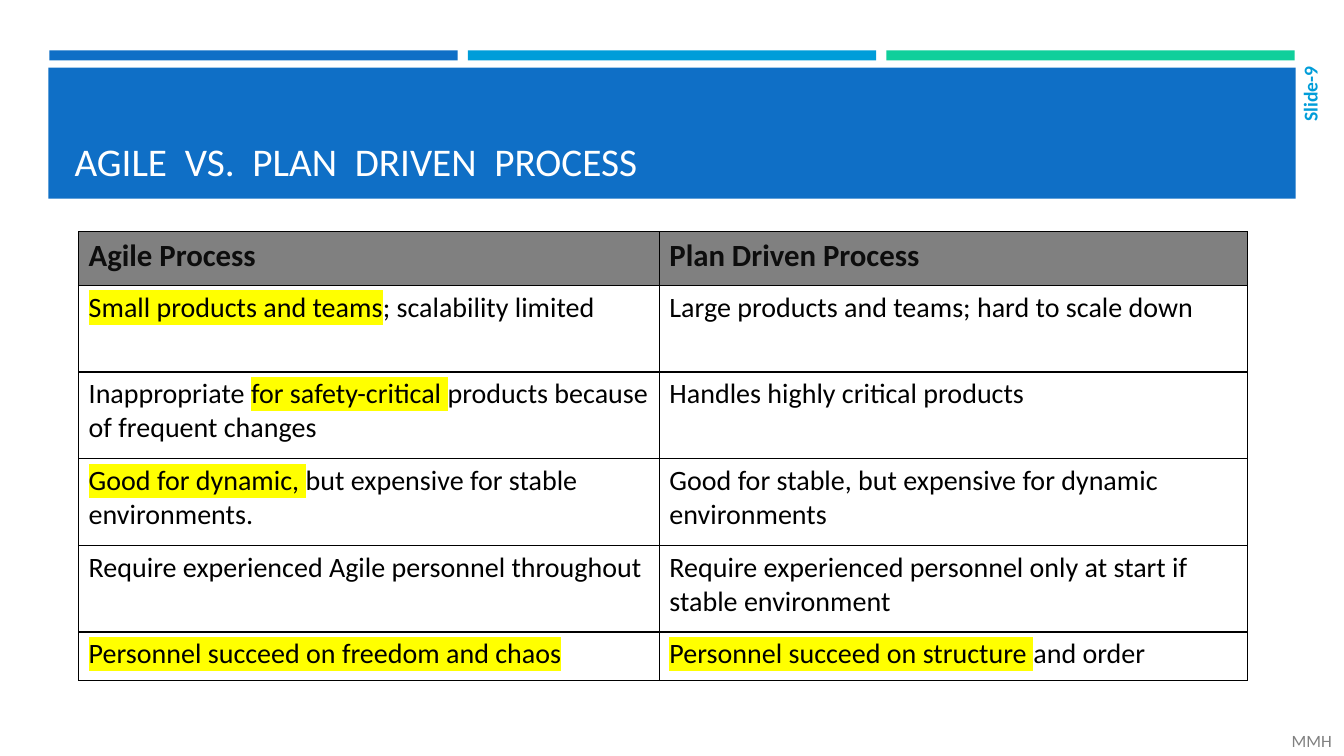
import pptx
import pptx.dml.color
import pptx.enum.shapes
import pptx.enum.text
import pptx.oxml
import pptx.oxml.ns
import pptx.util
from dataclasses import dataclass

PX = 9144  # EMU per px, 100 px to the inch
ANCHOR = pptx.enum.text.MSO_ANCHOR
ALIGN = pptx.enum.text.PP_ALIGN
NS = pptx.oxml.ns.nsdecls("a")


@dataclass(frozen=True)
class Theme:
    font: str = "Calibri"
    blue: str = "0F6FC6"
    cyan: str = "009DD9"
    green: str = "10CF9B"
    white: str = "FFFFFF"
    black: str = "000000"
    heading: str = "0D0D0D"
    gray: str = "808080"
    marker: str = "FFFF00"
    title_size: float = 28
    heading_size: float = 22
    body_size: float = 20
    number_size: float = 14
    footer_size: float = 12.3


THEME = Theme()

# Text between asterisks is highlighted
ROWS = [
    ("Agile Process", "Plan Driven Process"),
    ("*Small products and teams*; scalability limited",
     "Large products and teams; hard to scale down"),
    ("Inappropriate *for safety-critical *products because of frequent changes",
     "Handles highly critical products"),
    ("*Good for dynamic, *but expensive for stable environments.",
     "Good for stable, but expensive for dynamic environments"),
    ("Require experienced Agile personnel throughout",
     "Require experienced personnel only at start if stable environment"),
    ("*Personnel succeed on freedom and chaos*",
     "*Personnel succeed on structure *and order"),
]
COL_WIDTHS = (576, 583)
ROW_HEIGHTS = (53, 86, 86, 86, 86, 48)


def px(*lengths):
    return [pptx.util.Emu(n * PX) for n in lengths]


def rgb(color):
    return pptx.dml.color.RGBColor.from_string(color)


def write(tf, text, size, color, bold=False, align=ALIGN.LEFT, anchor=None):
    tf.word_wrap = True
    if anchor is not None:
        tf.vertical_anchor = anchor
    p = tf.paragraphs[0]
    p.alignment = align
    for i, piece in enumerate(text.split("*")):
        if not piece:
            continue
        r = p.add_run()
        r.text = piece
        r.font.size = pptx.util.Pt(size)
        r.font.bold = bold
        r.font.name = THEME.font
        r.font.color.rgb = rgb(color)
        if i % 2:
            fill = r._r.get_or_add_rPr().find(pptx.oxml.ns.qn("a:solidFill"))
            fill.addnext(pptx.oxml.parse_xml(
                f'<a:highlight {NS}><a:srgbClr val="{THEME.marker}"/></a:highlight>'))


def add_bar(s, box, color):
    sp = s.shapes.add_shape(pptx.enum.shapes.MSO_SHAPE.RECTANGLE, *px(*box))
    sp.shadow.inherit = False
    sp.fill.solid()
    sp.fill.fore_color.rgb = rgb(color)
    sp.line.fill.background()


def add_header(s, box, text):
    left, top, width, height = box
    # Three colour strips above the title band
    strip, gap = 405, 10
    for i, color in enumerate((THEME.blue, THEME.cyan, THEME.green)):
        add_bar(s, (left + 1 + i * (strip + gap), top, strip, 10), color)
    add_bar(s, (left, top + 17, width, height - 17), THEME.blue)
    # Title, brought in front of the band
    sp = s.shapes.title
    s.shapes._spTree.append(sp._element)
    sp.left, sp.top, sp.width, sp.height = px(left + 16, top + 27, width - 31, height - 36)
    sp.text_frame.auto_size = pptx.enum.text.MSO_AUTO_SIZE.NONE
    write(sp.text_frame, text, THEME.title_size, THEME.white, anchor=ANCHOR.BOTTOM)


def set_borders(cell):
    tcPr = cell._tc.get_or_add_tcPr()
    for i, side in enumerate(("lnL", "lnR", "lnT", "lnB")):
        tcPr.insert(i, pptx.oxml.parse_xml(
            f'<a:{side} {NS} w="12700"><a:solidFill><a:srgbClr val="{THEME.black}"/>'
            f'</a:solidFill></a:{side}>'))


def add_comparison(s, left, top):
    box = px(left, top, sum(COL_WIDTHS), sum(ROW_HEIGHTS))
    table = s.shapes.add_table(len(ROWS), len(COL_WIDTHS), *box).table
    table.first_row = table.horz_banding = False
    for col, width in zip(table.columns, px(*COL_WIDTHS)):
        col.width = width
    for row, height in zip(table.rows, px(*ROW_HEIGHTS)):
        row.height = height
    for i, texts in enumerate(ROWS):
        for j, text in enumerate(texts):
            cell = table.cell(i, j)
            if i == 0:
                cell.fill.solid()
                cell.fill.fore_color.rgb = rgb(THEME.gray)
                write(cell.text_frame, text, THEME.heading_size, THEME.heading, bold=True)
            else:
                cell.fill.background()
                write(cell.text_frame, text, THEME.body_size, THEME.black)
            set_borders(cell)


def add_label(s, box, text, size, color, bold=False, vertical=False):
    tf = s.shapes.add_textbox(*px(*box)).text_frame
    tf.margin_left, tf.margin_top, tf.margin_right, tf.margin_bottom = px(
        0, 0, 4 if vertical else 12, 0)
    if vertical:
        tf._txBody.bodyPr.set("vert", "vert270")
    write(tf, text, size, color, bold=bold, align=ALIGN.RIGHT, anchor=ANCHOR.MIDDLE)


def main():
    prs = pptx.Presentation()
    prs.slide_width, prs.slide_height = px(1333, 750)
    s = prs.slides.add_slide(prs.slide_layouts.get_by_name("Title Only"))
    add_header(s, (48, 50, 1237, 147), "AGILE  VS.  PLAN  DRIVEN  PROCESS")
    add_comparison(s, 78, 230)
    # Slide number and footer
    add_label(s, (1287, 66, 28, 108), "Slide-9", THEME.number_size, THEME.cyan,
              bold=True, vertical=True)
    add_label(s, (1263, 720, 70, 30), "MMH", THEME.footer_size, THEME.gray)
    prs.save("out.pptx")


if __name__ == "__main__":
    main()
